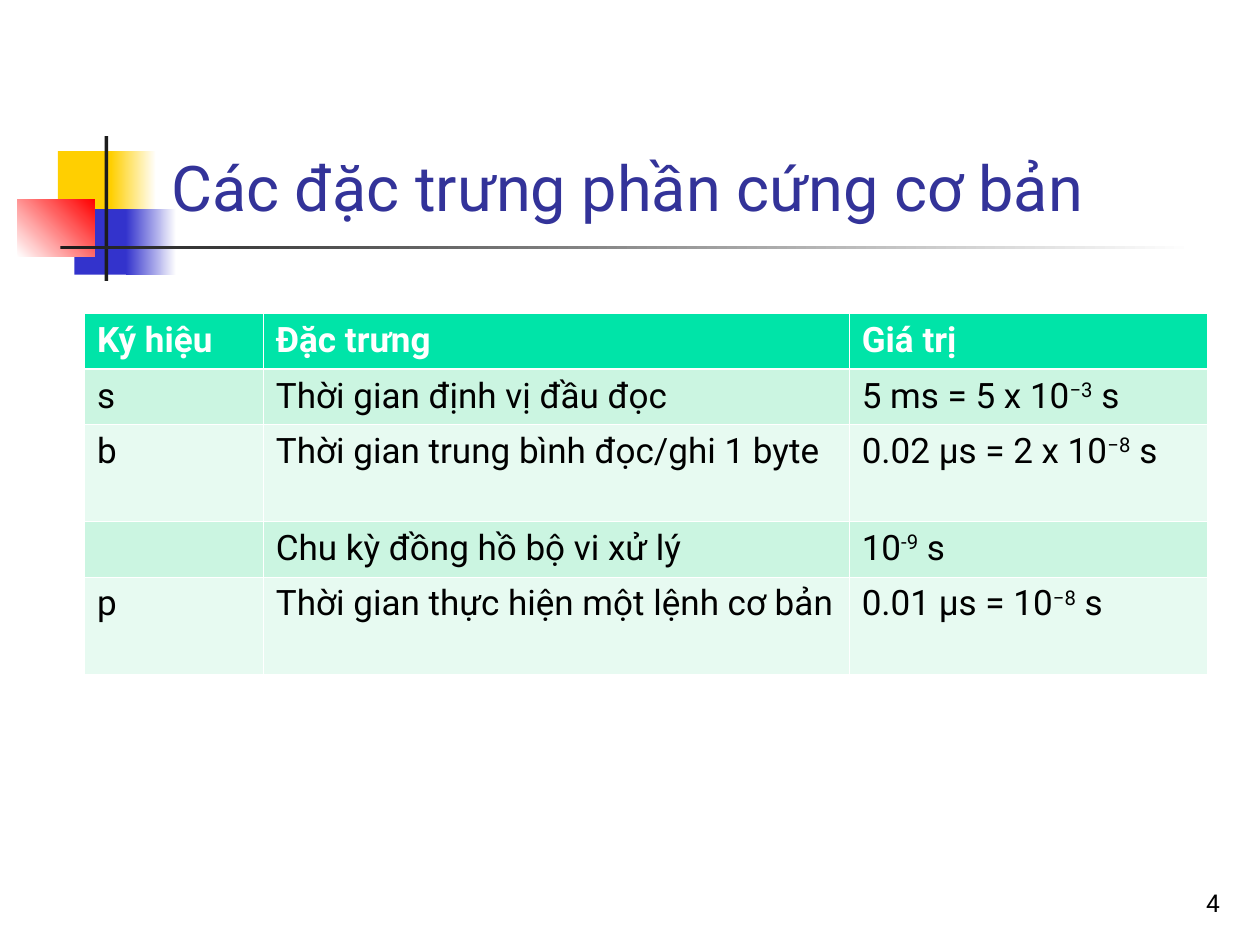
from lxml import etree
from pptx import Presentation
from pptx import util as u
from pptx.dml.color import RGBColor
from pptx.enum import shapes, text
from pptx.oxml import ns

DECOR = [
    ((0.32, 0.12, 0.48, 0.52), ["FFCF01"], 0),
    ((0.74, 0.12, 0.36, 0.52), ["FFCF01", "FFFFFF"], 0),
    ((0.45, 0.58, 0.46, 0.52), ["3333CC"], 0),
    ((0.86, 0.58, 0.4, 0.52), ["3333CC", "FFFFFF"], 0),
    ((0, 0.5, 0.61, 0.46), ["FFFFFF", "FF0000"], 45),
    ((0.69, 0, 0.03, 1.15), ["1C1C1C"], 0),
    ((0.34, 0.87, 9, 0.03), ["1C1C1C", "FFFFFF"], 0),
]
ROWS = [
    ["Ký hiệu", "Đặc trưng", "Giá trị"],
    ["s", "Thời gian định vị đầu đọc", "5 ms = 5 x 10^−3^ s"],
    ["b", "Thời gian trung bình đọc/ghi 1 byte", "0.02 μs = 2 x 10^−8^ s"],
    ["", "Chu kỳ đồng hồ bộ vi xử lý", "10^-9^ s"],
    ["p", "Thời gian thực hiện một lệnh cơ bản", "0.01 μs = 10^−8^ s"],
]
WIDTHS = [1.42, 4.65, 2.84]
HEIGHTS = [0.44, 0.44, 0.77, 0.44, 0.77]
BANDS = ["E7FAF1", "CBF5E1"]


def tint(code):
    return RGBColor.from_string(code)


def style(item, values):
    for name, value in values.items():
        setattr(item, name, value)


def write(para, words, size, color, bold=False):
    for i, part in enumerate(words.split("^")):
        if part:
            run = para.add_run()
            run.text = part
            style(run.font, {"name": "Roboto", "size": u.Pt(size), "bold": bold})
            run.font.color.rgb = tint(color)
            if i % 2:
                run.font._element.set("baseline", "30000")


def label(slide, box, words, size, color, align):
    frame = slide.shapes.add_textbox(*map(u.Inches, box)).text_frame
    style(frame, {"word_wrap": True, "vertical_anchor": text.MSO_ANCHOR.BOTTOM})
    para = frame.paragraphs[0]
    para.alignment = align
    write(para, words, size, color)


def decor(slide, left, top):
    for (x, y, wide, high), colors, angle in DECOR:
        box = map(u.Inches, (left + x, top + y, wide, high))
        block = slide.shapes.add_shape(shapes.MSO_SHAPE.RECTANGLE, *box)
        block.shadow.inherit = False
        block.line.fill.background()
        if len(colors) == 1:
            block.fill.solid()
            block.fill.fore_color.rgb = tint(colors[0])
        else:
            block.fill.gradient()
            block.fill.gradient_angle = angle
            for stop, color in zip(block.fill.gradient_stops, colors):
                stop.color.rgb = tint(color)


def border(cell, sides):
    props = cell._tc.get_or_add_tcPr()
    for i, (side, width) in enumerate(sides.items()):
        line = etree.Element(ns.qn(f"a:ln{side}"), w=str(u.Pt(width)))
        fill = etree.SubElement(line, ns.qn("a:solidFill"))
        etree.SubElement(fill, ns.qn("a:srgbClr"), val="FFFFFF")
        props.insert(i, line)


def grid(slide, box):
    table = slide.shapes.add_table(len(ROWS), len(WIDTHS), *map(u.Inches, box)).table
    for col, width in zip(table.columns, WIDTHS):
        col.width = u.Inches(width)
    for r, (row, high) in enumerate(zip(ROWS, HEIGHTS)):
        table.rows[r].height = u.Inches(high)
        head = r == 0
        for c, words in enumerate(row):
            cell = table.cell(r, c)
            cell.fill.solid()
            cell.fill.fore_color.rgb = tint("00E4A8" if head else BANDS[r % 2])
            border(cell, {"L": 0.45, "R": 0.45,
                          "T": 1.47 if r == 1 else 0.45,
                          "B": 1.47 if head else 0.45})
            color = "FFFFFF" if head else "000000"
            write(cell.text_frame.paragraphs[0], words, 20, color, head)


def main():
    deck = Presentation()
    style(deck, {"slide_width": u.Inches(10), "slide_height": u.Inches(7.5)})
    slide = deck.slides.add_slide(deck.slide_layouts[6])
    decor(slide, 0.14, 1.08)
    label(slide, (7.7, 6.83, 2.08, 0.5), "4", 14, "000000", text.PP_ALIGN.RIGHT)
    label(slide, (1.26, 0.23, 8.52, 1.6), "Các đặc trưng phần cứng cơ bản",
          36, "333399", text.PP_ALIGN.LEFT)
    grid(slide, (0.67, 2.49, sum(WIDTHS), sum(HEIGHTS)))
    deck.save("out.pptx")


if __name__ == "__main__":
    main()
